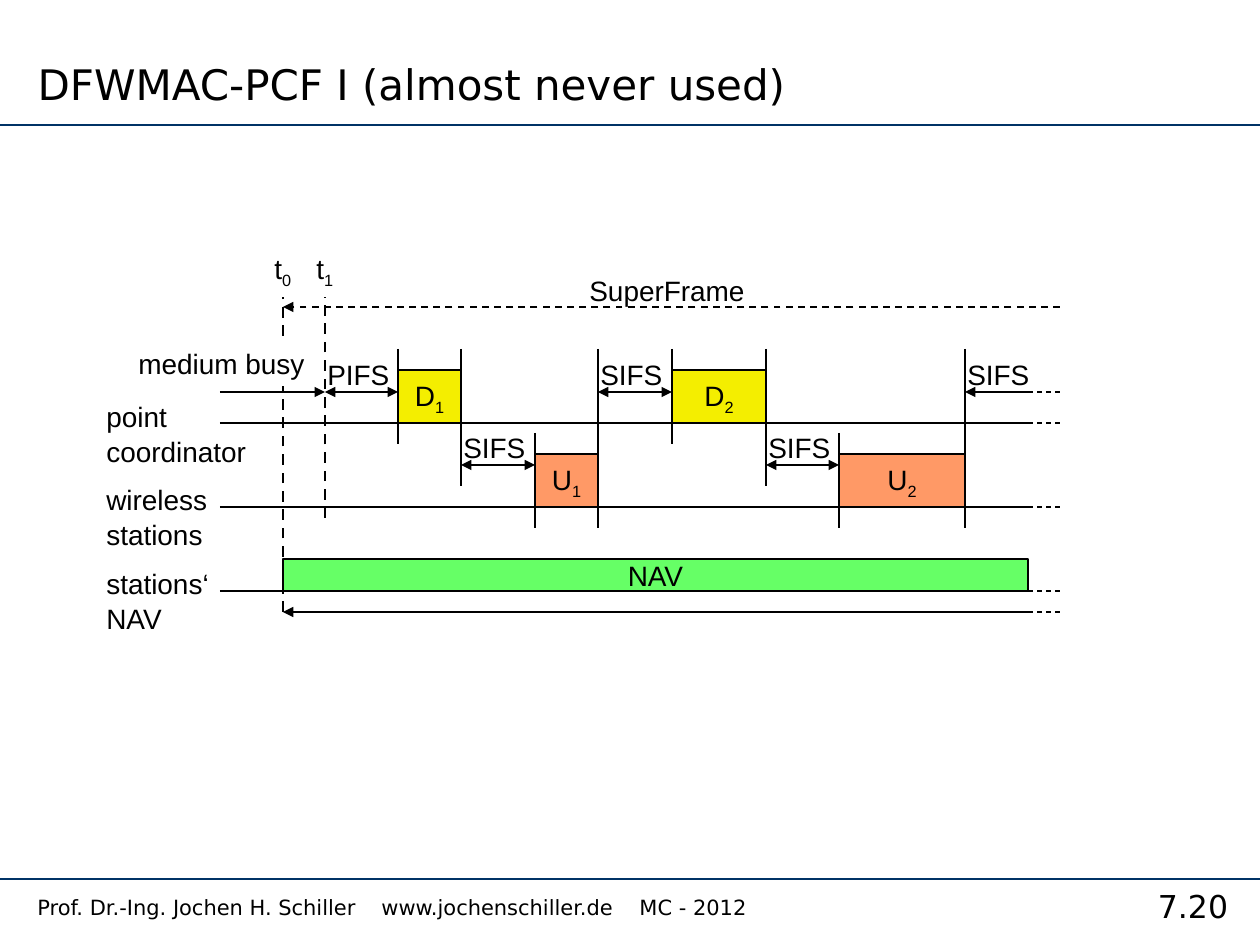
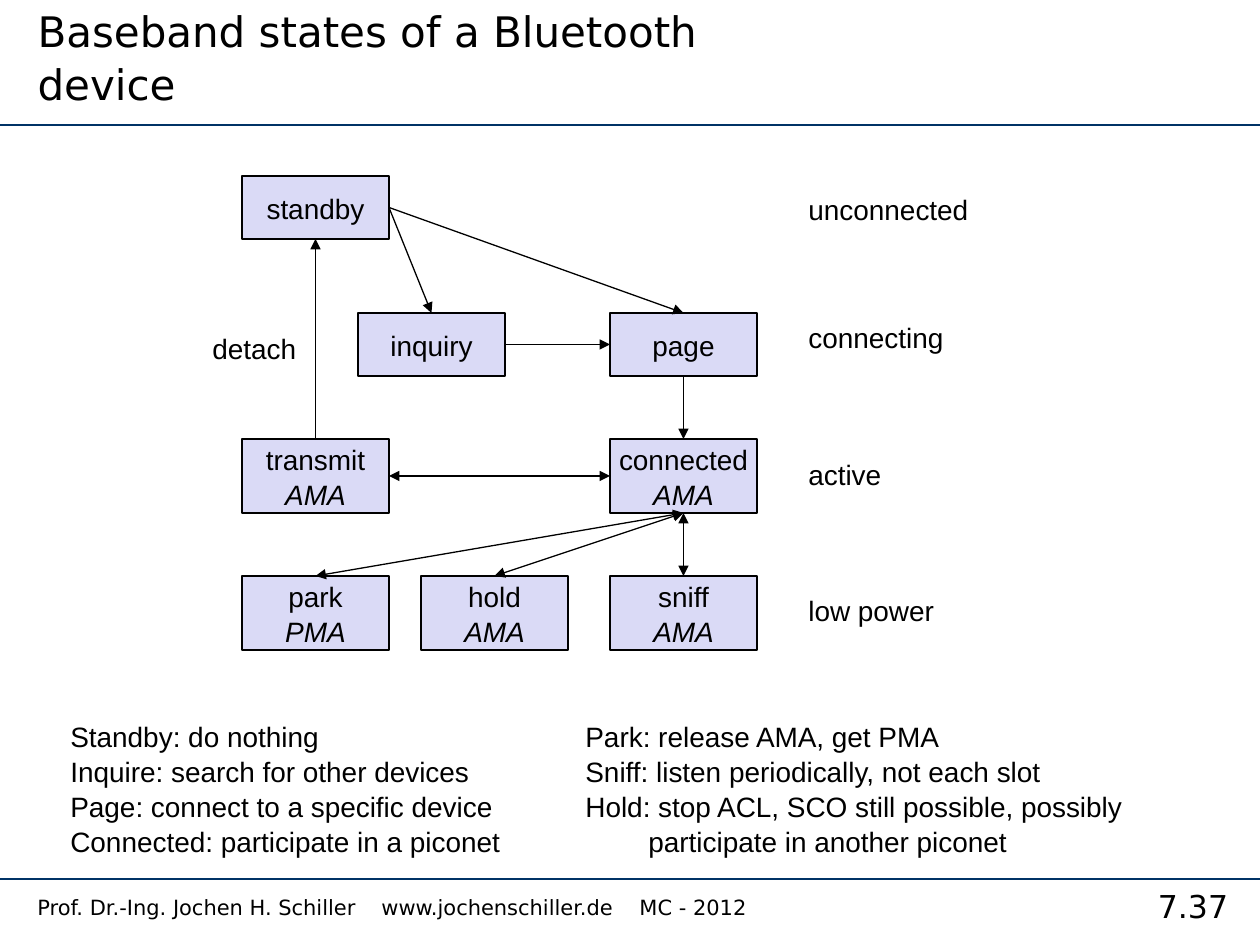
from dataclasses import dataclass

from lxml.etree import SubElement
from pptx import Presentation
from pptx.dml.color import RGBColor
from pptx.enum.dml import MSO_LINE
from pptx.enum.shapes import MSO_CONNECTOR, MSO_SHAPE
from pptx.enum.text import MSO_ANCHOR, MSO_AUTO_SIZE, PP_ALIGN
from pptx.oxml.ns import qn
from pptx.util import Pt

PX = 914400 / 126
WIDTH, HEIGHT = 1260, 945


@dataclass(frozen=True)
class Theme:
    ink: str = "000000"
    rule: str = "003366"
    paper: str = "FFFFFF"
    downlink: str = "F4EE00"
    uplink: str = "FF9966"
    nav: str = "66FF66"
    state: str = "DADAF6"
    head_font: str = "DejaVu Sans"
    body_font: str = "Arial"
    title: int = 24
    number: int = 18
    body: int = 16
    footer: int = 12
    thin: float = 0.75
    medium: float = 1
    thick: float = 1.5
    leading: float = 1.04


THEME = Theme()

# Shared frame
FOOTER = ["Prof. Dr.-Ing. Jochen H. Schiller", "www.jochenschiller.de", "MC - 2012"]
FOOTER_TABS = [344, 602]
RULES = [125, 879]

# Timing diagram; "_" starts a subscript
T0, T1, START, END, FADE = 283, 325, 220, 1028, 1060
GUIDE_TOP, OVERHANG, BLOCK_HEIGHT = 349, 21, 53
ROWS = {  # baseline, arrow height, foot of right guides, block colour
    "point": (423, 392, 486, THEME.downlink),
    "wireless": (507, 465, 528, THEME.uplink),
}
NAV_BASE, NAV_ARROW, SUPERFRAME = 591, 612, 307
ROW_LABELS = [
    (["point", "coordinator"], 392, 165),
    (["wireless", "stations"], 475, 126),
    (["stations‘", "NAV"], 559, 129),
]
BLOCKS = [
    ("D_1", "point", 398, 63),
    ("U_1", "wireless", 535, 63),
    ("D_2", "point", 672, 94),
    ("U_2", "wireless", 839, 126),
]
GAPS = [
    ("PIFS", "point", T1, 398),
    ("SIFS", "wireless", 461, 535),
    ("SIFS", "point", 598, 672),
    ("SIFS", "wireless", 766, 839),
    ("SIFS", "point", 965, END),
]

# State diagram; "*" marks an italic line
STATE_WIDTH = 147
STATES = {  # left, top, height, lines
    "standby": (242, 176, 63, ["standby"]),
    "inquiry": (358, 313, 63, ["inquiry"]),
    "page": (610, 313, 63, ["page"]),
    "connected": (610, 439, 74, ["connected", "*AMA"]),
    "transmit": (242, 439, 74, ["transmit", "*AMA"]),
    "park": (242, 576, 74, ["park", "*PMA"]),
    "hold": (421, 576, 74, ["hold", "*AMA"]),
    "sniff": (610, 576, 74, ["sniff", "*AMA"]),
}
LINKS = [  # from, side, to, side, arrow at both ends
    ("standby", "right", "inquiry", "top", False),
    ("standby", "right", "page", "top", False),
    ("inquiry", "right", "page", "left", False),
    ("page", "bottom", "connected", "top", False),
    ("transmit", "top", "standby", "bottom", False),
    ("park", "top", "connected", "bottom", True),
    ("hold", "top", "connected", "bottom", True),
    ("sniff", "top", "connected", "bottom", True),
    ("transmit", "right", "connected", "left", True),
]
SIDES = {"left": (0, 0.5), "right": (1, 0.5), "top": (0.5, 0), "bottom": (0.5, 1)}
STATE_LABELS = [
    ("unconnected", 796, 185, 185),
    ("connecting", 796, 313, 160),
    ("active", 796, 450, 98),
    ("low power", 796, 586, 151),
    ("detach", 200, 324, 110),
]
NOTES = [
    (58, 456, ["Standby: do nothing",
               "Inquire: search for other devices",
               "Page: connect to a specific device",
               "Connected: participate in a piconet"]),
    (573, 573, ["Park: release AMA, get PMA",
                "Sniff: listen periodically, not each slot",
                "Hold: stop ACL, SCO still possible, possibly\v\tparticipate in another piconet"]),
]


def px(*lengths):
    return [round(length * PX) for length in lengths]


def add_span(para, text, size, font, italic=False, subscript=False):
    span = para.add_run()
    span.text = text
    span.font.size = Pt(size)
    span.font.name = font
    span.font.color.rgb = RGBColor.from_string(THEME.ink)
    if italic:
        span.font.italic = True
    if subscript:
        span._r.get_or_add_rPr().set("baseline", "-25000")


def write(frame, lines, size=THEME.body, font=THEME.body_font, align=PP_ALIGN.LEFT):
    """Fill a frame; "*" leads an italic line, "_" a subscript, "\\v" breaks a line."""
    for index, line in enumerate(lines):
        para = frame.add_paragraph() if index else frame.paragraphs[0]
        para.alignment = align
        para.line_spacing = THEME.leading
        for number, part in enumerate(line.lstrip("*").split("\v")):
            if number:
                para.add_line_break()
            base, _, subscript = part.partition("_")
            add_span(para, base, size, font, italic=line.startswith("*"))
            if subscript:
                add_span(para, subscript, size, font, subscript=True)


def add_label(page, lines, left, top, width, height=47, wrap=False, **style):
    box = page.shapes.add_textbox(*px(left, top, width, height))
    box.text_frame.word_wrap = wrap
    write(box.text_frame, lines, **style)
    return box


def add_block(page, lines, left, top, width, height, fill):
    block = page.shapes.add_shape(MSO_SHAPE.RECTANGLE, *px(left, top, width, height))
    block.shadow.inherit = False
    block.fill.solid()
    block.fill.fore_color.rgb = RGBColor.from_string(fill)
    block.line.color.rgb = RGBColor.from_string(THEME.ink)
    block.line.width = Pt(THEME.thin)
    block.text_frame.word_wrap = False
    block.text_frame.vertical_anchor = MSO_ANCHOR.MIDDLE
    write(block.text_frame, lines, align=PP_ALIGN.CENTER)


def add_line(page, x1, y1, x2, y2, head=False, tail=False, dashed=False,
             weight=THEME.thin, color=THEME.ink):
    """Draw a line; head is an arrow at its start, tail one at its end."""
    line = page.shapes.add_connector(MSO_CONNECTOR.STRAIGHT, *px(x1, y1, x2, y2))
    line.line.color.rgb = RGBColor.from_string(color)
    line.line.width = Pt(weight)
    if dashed:
        line.line.dash_style = MSO_LINE.DASH
    outline = line.line._get_or_add_ln()
    for tag, wanted in (("a:headEnd", head), ("a:tailEnd", tail)):
        if wanted:
            SubElement(outline, qn(tag), type="triangle")
    SubElement(line._element.spPr, qn("a:effectLst"))


def add_page(deck, title, number):
    page = deck.slides.add_slide(deck.slide_layouts[5])
    for y in RULES:
        add_line(page, 0, y, WIDTH, y, weight=THEME.medium, color=THEME.rule)
    add_label(page, [number], 1126, 879, 134, 50, wrap=True,
              size=THEME.number, font=THEME.head_font, align=PP_ALIGN.CENTER)
    footer = add_label(page, ["\t".join(FOOTER)], 25, 887, 1101, 42, wrap=True,
                       size=THEME.footer, font=THEME.head_font)
    tabs = SubElement(footer.text_frame.paragraphs[0]._p.get_or_add_pPr(), qn("a:tabLst"))
    for stop in px(*FOOTER_TABS):
        SubElement(tabs, qn("a:tab"), pos=str(stop), algn="l")

    heading = page.shapes.title
    heading.left, heading.top, heading.width, heading.height = px(25, 0, 833, 115)
    heading.text_frame.word_wrap = True
    heading.text_frame.auto_size = MSO_AUTO_SIZE.NONE
    heading.text_frame.vertical_anchor = MSO_ANCHOR.BOTTOM
    write(heading.text_frame, [title], size=THEME.title, font=THEME.head_font)
    return page


def add_fading_line(page, start, y, **arrows):
    add_line(page, start, y, END, y, **arrows)
    add_line(page, END, y, FADE, y, dashed=True)


def draw_timing(page):
    for lines, top, width in ROW_LABELS:
        add_label(page, lines, 94, top, width, 81)
    for y in (ROWS["point"][0], ROWS["wireless"][0], NAV_BASE):
        add_fading_line(page, START, y)

    for name, row, left, width in BLOCKS:
        baseline, _, foot, color = ROWS[row]
        top = baseline - BLOCK_HEIGHT
        right = left + width
        add_block(page, [name], left, top, width, BLOCK_HEIGHT, color)
        add_line(page, left, top - OVERHANG, left, baseline + OVERHANG)
        add_line(page, right, GUIDE_TOP, right, foot)

    for name, row, start, end in GAPS:
        y = ROWS[row][1]
        add_label(page, [name], start - 10, y - 42, 87)
        if end == END:
            add_fading_line(page, start, y, head=True)
        else:
            add_line(page, start, y, end, y, head=True, tail=True)

    add_block(page, ["NAV"], T0, 559, END - T0, 32, THEME.nav)
    add_fading_line(page, T0, NAV_ARROW, head=True)
    add_label(page, ["SuperFrame"], 577, 266, 181)
    add_line(page, FADE, SUPERFRAME, T0, SUPERFRAME, tail=True, dashed=True, weight=THEME.medium)

    add_line(page, T0, NAV_ARROW, T0, 297, dashed=True, weight=THEME.thick)
    busy = add_label(page, ["medium busy"], 126, 339, 199, wrap=True)
    busy.fill.solid()
    busy.fill.fore_color.rgb = RGBColor.from_string(THEME.paper)
    add_line(page, START, ROWS["point"][1], T1, ROWS["point"][1], tail=True)
    add_line(page, T1, 518, T1, 297, dashed=True, weight=THEME.thick)
    for name, x in (("t_0", T0), ("t_1", T1)):
        add_label(page, [name], x - 21, 244, 44)


def side_point(state, side):
    left, top, height, _ = STATES[state]
    across, down = SIDES[side]
    return left + across * STATE_WIDTH, top + down * height


def draw_states(page):
    for left, top, height, lines in STATES.values():
        add_block(page, lines, left, top, STATE_WIDTH, height, THEME.state)
    for start, start_side, end, end_side, both in LINKS:
        add_line(page, *side_point(start, start_side), *side_point(end, end_side),
                 head=both, tail=True)
    for name, left, top, width in STATE_LABELS:
        add_label(page, [name], left, top, width)
    for left, width, lines in NOTES:
        add_label(page, lines, left, 712, width, 147)


def main():
    deck = Presentation()
    deck.slide_width, deck.slide_height = px(WIDTH, HEIGHT)
    draw_timing(add_page(deck, "DFWMAC-PCF I (almost never used)", "7.20"))
    draw_states(add_page(deck, "Baseband states of a Bluetooth device", "7.37"))
    deck.save("out.pptx")


if __name__ == "__main__":
    main()
